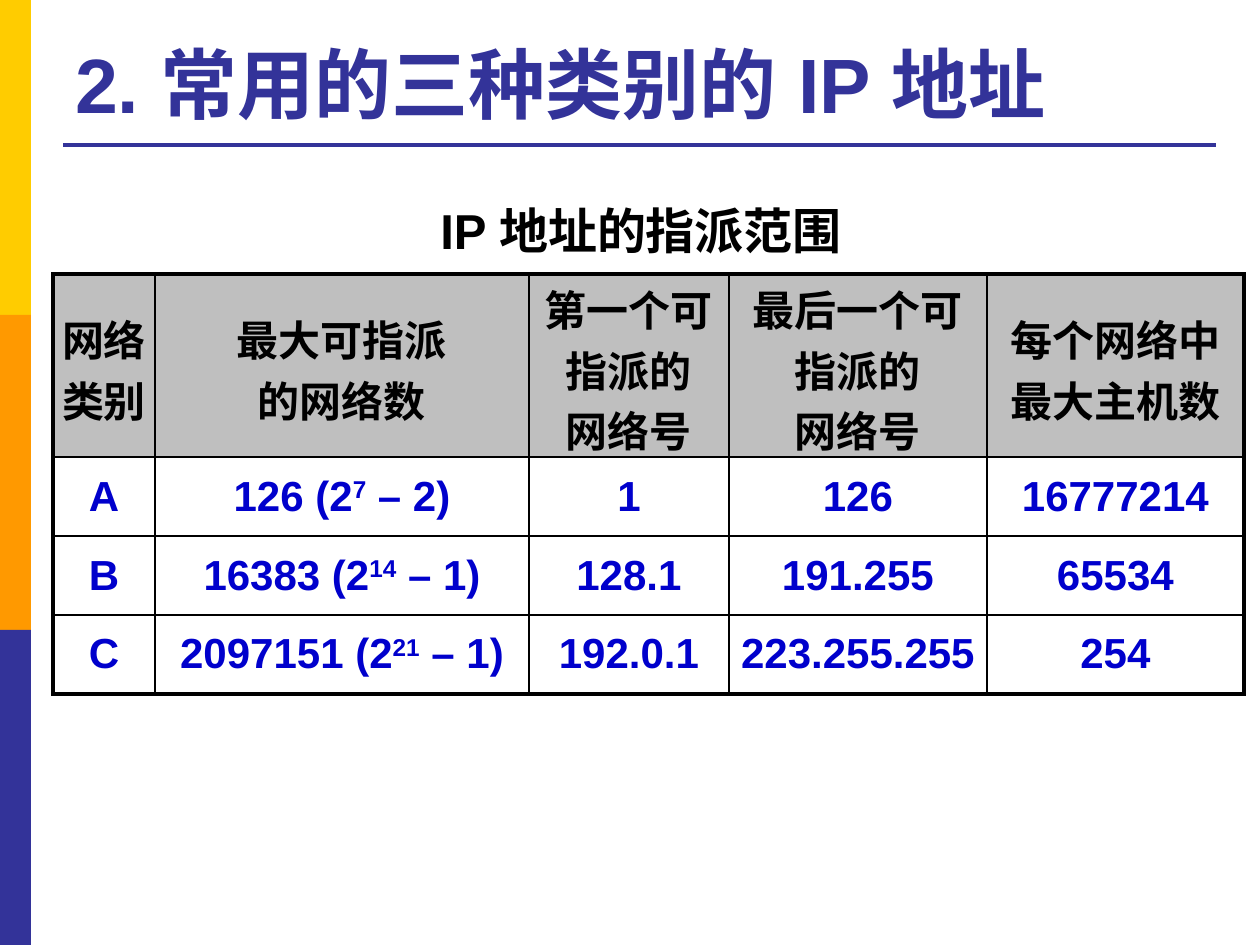
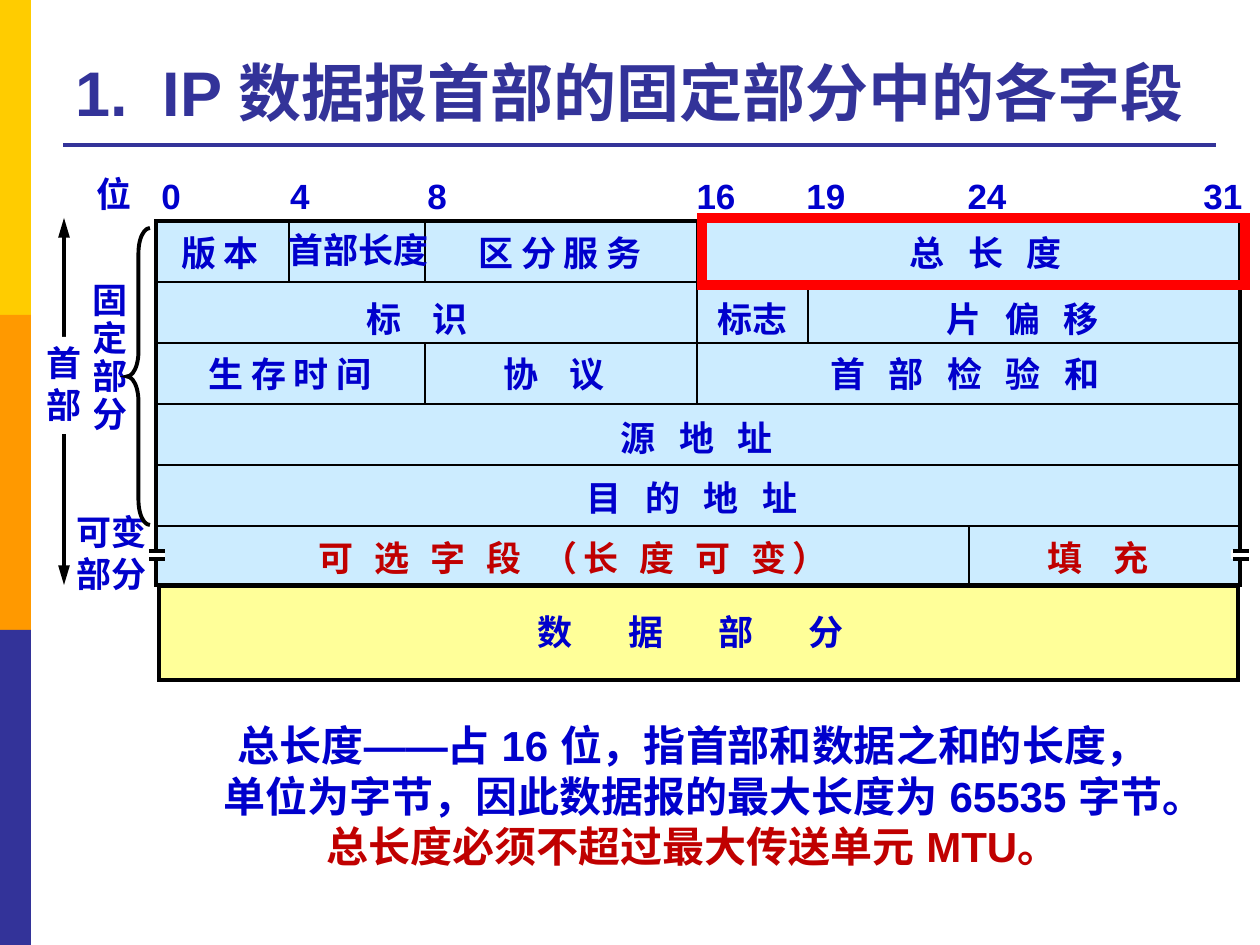
from dataclasses import dataclass

import pptx
import pptx.dml.color
import pptx.enum.shapes
import pptx.enum.text
import pptx.oxml
import pptx.oxml.ns
import pptx.util
from lxml import etree

PX = 914400 / 126  # EMU per px
SHAPE = pptx.enum.shapes.MSO_SHAPE
ALIGN = pptx.enum.text.PP_ALIGN
ANCHOR = pptx.enum.text.MSO_ANCHOR

FONT = "Arial"
NAVY, BLUE, RED, BLACK, WHITE = "333399", "0000CC", "C00000", "000000", "FFFFFF"
BANDS = ["FFCC00", "FF9900", NAVY]


@dataclass
class Run:
    text: str
    gap: float = 0  # extra letter spacing in points
    base: int = 0  # superscript rise in percent
    color: str = ""


@dataclass
class Label:
    text: str
    cx: int
    top: int
    gap: float = 0
    color: str = BLUE


@dataclass
class Segment:
    x1: int
    y1: int
    x2: int
    y2: int


def px(n: float) -> pptx.util.Emu:
    return pptx.util.Emu(round(n * PX))


def rgb(color: str) -> pptx.dml.color.RGBColor:
    return pptx.dml.color.RGBColor.from_string(color)


def set_all(obj, values: dict) -> None:
    for name, value in values.items():
        setattr(obj, name, value)


def sub(parent, tag: str, **attrs):
    return etree.SubElement(parent, pptx.oxml.ns.qn(tag), attrs)


# Text
def write(p, runs: list[Run], size: float, color: str, align=ALIGN.CENTER, line: float = 0) -> None:
    p.alignment = align
    if line:
        p.line_spacing = pptx.util.Pt(line)
    for run in runs:
        r = p.add_run()
        r.text = run.text
        set_all(r.font, {"name": FONT, "size": pptx.util.Pt(size), "bold": True})
        r.font.color.rgb = rgb(run.color or color)
        rPr = r.font._element
        if run.gap:
            rPr.set("spc", str(round(run.gap * 100)))
        if run.base:
            rPr.set("baseline", str(run.base * 1000))
        sub(rPr, "a:ea", typeface=FONT)


def fill_paragraphs(tf, paragraphs: list[list[Run]], *args, **kwargs) -> None:
    for i, runs in enumerate(paragraphs):
        p = tf.add_paragraph() if i else tf.paragraphs[0]
        write(p, runs, *args, **kwargs)


def add_text(s, x: int, y: int, w: int, h: int, paragraphs: list[list[Run]], size: float,
             color: str, align=ALIGN.CENTER, anchor=ANCHOR.TOP, line: float = 0, wrap: bool = True):
    sp = s.shapes.add_textbox(px(x), px(y), px(w), px(h))
    tf = sp.text_frame
    set_all(tf, {"word_wrap": wrap, "vertical_anchor": anchor,
                 "margin_left": px(12), "margin_right": px(12),
                 "margin_top": px(6), "margin_bottom": px(6)})
    fill_paragraphs(tf, paragraphs, size, color, align=align, line=line)
    return sp


def add_label(s, label: Label) -> None:
    w = 60 + 44 * len(label.text)  # always wider than the text
    add_text(s, label.cx - w // 2, label.top, w, 54, [[Run(label.text, label.gap)]],
             20, label.color, line=24, wrap=False)


def add_stack(s, lines: str, cx: int, top: int, line: float = 24):
    rows = [[Run(text)] for text in lines.split("/")]
    return add_text(s, cx - 50, top, 100, 12 + round(len(rows) * line * 1.75), rows,
                    20, BLUE, line=line)


# Shapes
def add_shape(s, kind, x: int, y: int, w: int, h: int, fill: str = "", line: str = "", width: float = 1):
    sp = s.shapes.add_shape(kind, px(x), px(y), px(w), px(h))
    sp.shadow.inherit = False
    if fill:
        sp.fill.solid()
        sp.fill.fore_color.rgb = rgb(fill)
    else:
        sp.fill.background()
    if line:
        sp.line.color.rgb = rgb(line)
        sp.line.width = pptx.util.Pt(width)
        sub(sp.line._get_or_add_ln(), "a:miter", lim="800000")
    else:
        sp.line.fill.background()
    return sp


def add_line(s, seg: Segment, color: str = BLACK, width: float = 1, arrows: bool = False) -> None:
    c = s.shapes.add_connector(pptx.enum.shapes.MSO_CONNECTOR.STRAIGHT,
                               px(seg.x1), px(seg.y1), px(seg.x2), px(seg.y2))
    c.line.color.rgb = rgb(color)
    c.line.width = pptx.util.Pt(width)
    if arrows:
        for end in ("a:headEnd", "a:tailEnd"):
            sub(c.line._get_or_add_ln(), end, type="triangle", len="lg")
    sub(c._element.spPr, "a:effectLst")


def new_slide(prs, title: list[Run], size: int):
    s = prs.slides.add_slide(prs.slide_layouts[6])
    for i, color in enumerate(BANDS):
        add_shape(s, SHAPE.RECTANGLE, 0, 315 * i, 31, 315, color)
    add_line(s, Segment(63, 145, 1216, 145), NAVY, 2.25)
    add_text(s, 63, 25, 1180, 110, [title], size, NAVY, ALIGN.LEFT, ANCHOR.BOTTOM)
    return s


# Slide 1: address classes
COL_WIDTHS = [102, 374, 200, 258, 257]
ROW_HEIGHTS = [183, 79, 79, 79]
HEADERS = ["网络/类别", "最大可指派/的网络数", "第一个可指派的/网络号",
           "最后一个可指派的/网络号", "每个网络中/最大主机数"]
CLASSES = [  # ^ encloses a superscript
    ["A", "126 (2^7^ – 2)", "1", "126", "16777214"],
    ["B", "16383 (2^14^ – 1)", "128.1", "191.255", "65534"],
    ["C", "2097151 (2^21^ – 1)", "192.0.1", "223.255.255", "254"],
]


def border_cell(cell, outer: dict[str, bool]) -> None:
    tcPr = cell._tc.get_or_add_tcPr()
    for i, (side, is_outer) in enumerate(outer.items()):
        ln = sub(tcPr, "a:ln" + side, w=str(pptx.util.Pt(2.25 if is_outer else 1)))
        sub(sub(ln, "a:solidFill"), "a:srgbClr", val=BLACK)
        tcPr.insert(i, ln)


def add_class_table(s) -> None:
    rows = [HEADERS] + CLASSES
    last_row, last_col = len(rows) - 1, len(HEADERS) - 1
    table = s.shapes.add_table(len(rows), len(HEADERS), px(53), px(274),
                               px(sum(COL_WIDTHS)), px(sum(ROW_HEIGHTS))).table
    set_all(table, {"first_row": False, "horz_banding": False})
    for col, width in zip(table.columns, COL_WIDTHS):
        col.width = px(width)
    for row, height in zip(table.rows, ROW_HEIGHTS):
        row.height = px(height)
    for i, values in enumerate(rows):
        for j, value in enumerate(values):
            cell = table.cell(i, j)
            set_all(cell, {"margin_left": px(8), "margin_right": px(8), "margin_top": 0,
                           "margin_bottom": 0, "vertical_anchor": ANCHOR.MIDDLE})
            if i == 0:
                cell.fill.solid()
                cell.fill.fore_color.rgb = rgb("BFBFBF")
                fill_paragraphs(cell.text_frame, [[Run(t)] for t in value.split("/")],
                                24, BLACK, line=34.8)
            else:
                cell.fill.background()
                runs = [Run(t, base=30 * (k % 2)) for k, t in enumerate(value.split("^"))]
                fill_paragraphs(cell.text_frame, [runs], 24, BLUE)
            border_cell(cell, {"L": j == 0, "R": j == last_col, "T": i == 0, "B": i == last_row})


def build_classes(prs) -> None:
    s = new_slide(prs, [Run("2. 常用的三种类别的 IP 地址")], 44)
    add_class_table(s)
    add_text(s, 391, 195, 500, 72, [[Run("IP 地址的指派范围")]], 28, BLACK, line=33.6)


# Slide 2: datagram header
LEFT, RIGHT, TOP, BOTTOM = 156, 1241, 221, 585
ROW_Y = [TOP] + [282 + 61 * i for i in range(5)] + [BOTTOM]
FLAGS_X = 808
TIGHT, WIDE, WIDER = -0.6, 3.9, 6.1  # letter spacing of field names

BIT_LABELS = [Label(t, cx, 168) for t, cx in [
    ("0", 171), ("4", 300), ("8", 437), ("16", 716), ("19", 826), ("24", 987), ("31", 1223)]]
FIELDS = [
    Label("位", 114, 166),
    Label("版 本", 220, 225, TIGHT), Label("首部长度", 359, 222),
    Label("区 分 服 务", 560, 225, TIGHT), Label("总 长 度", 986, 225, WIDE),
    Label("标 识", 417, 291, WIDER), Label("标志", 753, 291), Label("片 偏 移", 1023, 291, WIDE),
    Label("生 存 时 间", 290, 346, TIGHT), Label("协 议", 554, 346, WIDER),
    Label("首 部 检 验 和", 965, 346, WIDE),
    Label("源 地 址", 697, 410, WIDE), Label("目 的 地 址", 692, 470, WIDE),
    Label("可 选 字 段 （长 度 可 变）", 573, 530, 3.2, RED), Label("填 充", 1098, 530, WIDER, RED),
    Label("数 据 部 分", 691, 604, 13),
]


def bit_x(bit: int) -> int:
    return 153 + 34 * bit


def add_header_grid(s) -> None:
    add_shape(s, SHAPE.RECTANGLE, LEFT, TOP, RIGHT - LEFT - 1, BOTTOM - TOP, "CCECFF", BLACK, 2)
    add_shape(s, SHAPE.RECTANGLE, 159, 586, 1079, 94, "FFFF99", BLACK, 2.25)
    for y in ROW_Y[1:-1]:
        add_line(s, Segment(LEFT, y, RIGHT, y))
    dividers = [(bit_x(4), 0, 1), (bit_x(8), 0, 1), (bit_x(8), 2, 3),
                (bit_x(16), 0, 3), (FLAGS_X, 1, 2), (bit_x(24), 5, 6)]
    for x, first, last in dividers:
        add_line(s, Segment(x, ROW_Y[first], x, ROW_Y[last]))


def add_break_mark(s, x: int) -> None:
    add_shape(s, SHAPE.RECTANGLE, x - 2, 550, 18, 9, WHITE)
    for y in (551, 559):
        add_line(s, Segment(x, y, x + 16, y), width=2)


def add_side_marks(s) -> None:
    add_stack(s, "固/定/部/分", 110, 277, 21.6)
    add_stack(s, "可变/部分", 112, 505)
    add_line(s, Segment(64, 218, 64, 585), width=2.25, arrows=True)
    add_shape(s, SHAPE.RECTANGLE, 34, 337, 60, 97, WHITE)
    add_stack(s, "首/部", 64, 336)
    brace = add_shape(s, SHAPE.LEFT_BRACE, 127, 228, 23, 297, line=BLACK, width=2.25)
    brace.adjustments[0] = 1.08


def build_header(prs) -> None:
    s = new_slide(prs, [Run("1."), Run(" ", 10), Run("IP 数据报首部的固定部分中的各字段")], 36)
    add_header_grid(s)
    for label in BIT_LABELS + FIELDS:
        add_label(s, label)
    for x in (149, 1233):
        add_break_mark(s, x)
    add_side_marks(s)
    # Explanation and highlighted field
    add_text(s, 210, 714, 966, 214, [
        [Run("总长度——占 16 位，指首部和数据之和的长度，")],
        [Run("单位为字节，因此数据报的最大长度为 65535 字节。")],
        [Run("总长度必须不超过最大传送单元 MTU。", color=RED)],
    ], 24, BLUE, line=28.8)
    add_shape(s, SHAPE.RECTANGLE, 702, 218, 543, 67, line="FF0000", width=6)


def main() -> None:
    prs = pptx.Presentation()
    set_all(prs, {"slide_width": px(1260), "slide_height": px(945)})
    build_classes(prs)
    build_header(prs)
    prs.save("out.pptx")


if __name__ == "__main__":
    main()
